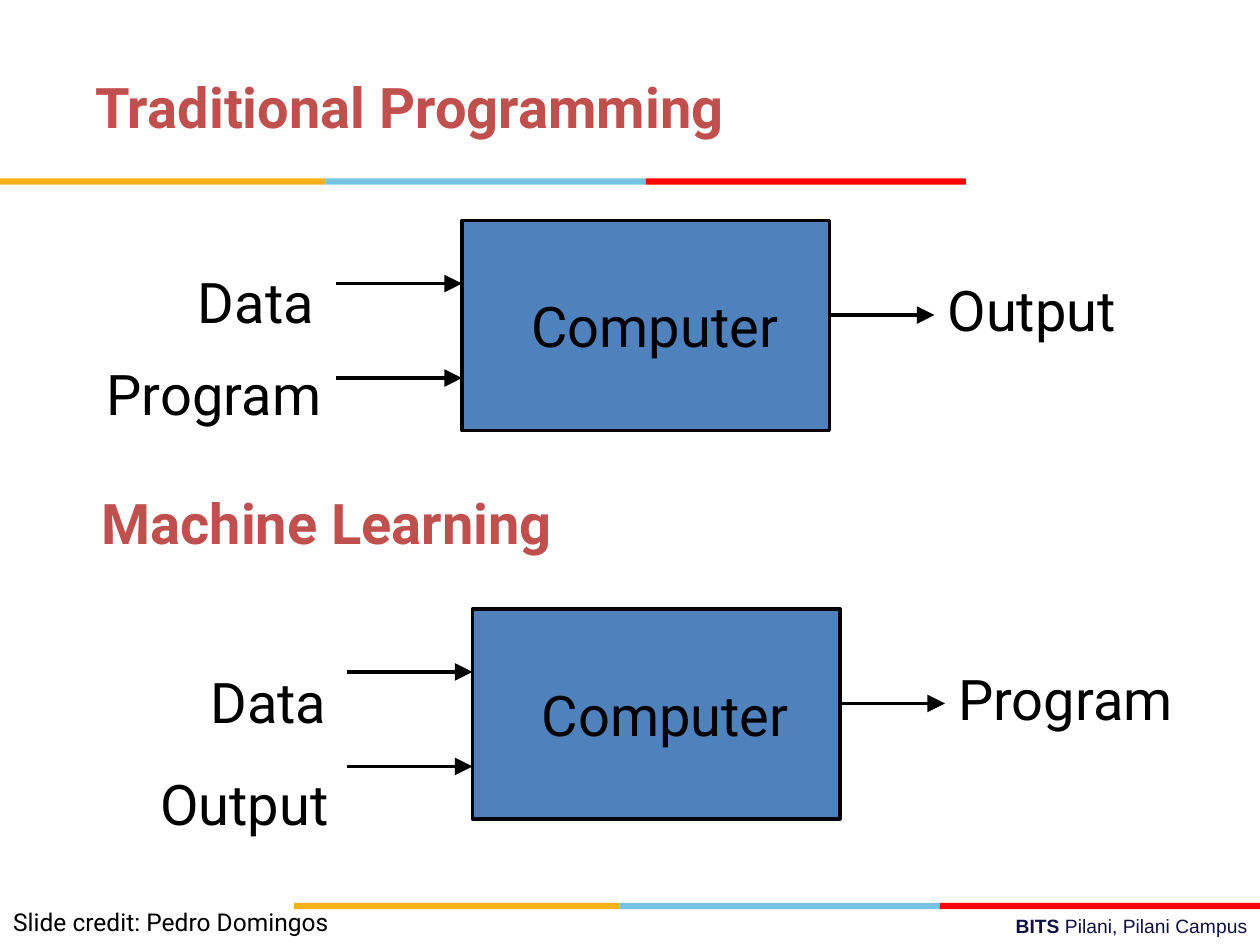
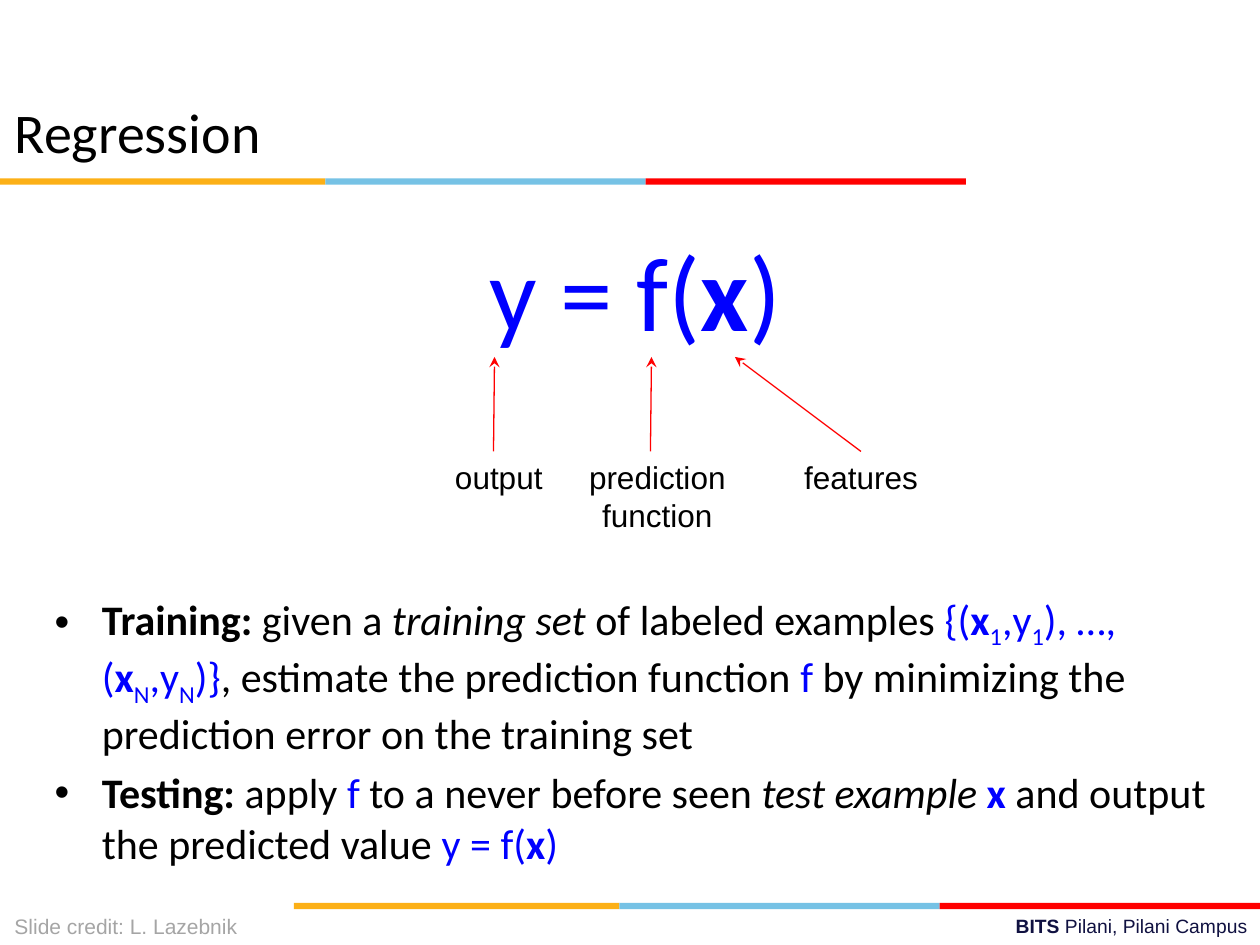
from dataclasses import dataclass

from lxml.etree import SubElement
from pptx import Presentation
from pptx.dml.color import RGBColor
from pptx.enum.shapes import MSO_CONNECTOR, MSO_SHAPE
from pptx.enum.text import MSO_ANCHOR, MSO_AUTO_SIZE, PP_ALIGN
from pptx.oxml.ns import qn
from pptx.util import Inches, Pt


@dataclass(frozen=True)
class Theme:
    black: str = "000000"
    navy: str = "101141"
    heading: str = "C0504D"
    processor: str = "4F81BD"
    formula: str = "0000FF"
    grey: str = "A5A5A5"
    red: str = "FF0000"
    bands: tuple = (("FCB017", 31), ("76C2E5", 30.5), ("FF0000", 30.5))
    large: int = 32
    equation: int = 60
    body: int = 24
    label: int = 18
    credit: int = 14
    small_credit: int = 12
    footer: int = 11


THEME = Theme()
COLUMNS, ROWS = 120, 90
WIDTH, HEIGHT = Inches(10), Inches(7.5)
ROOMY = (1.2, 0.6)
TIGHT = (0.15, 0.15)

# Text formats
LABEL = dict(name="Roboto", size=THEME.large, color=THEME.black)
HEADING = LABEL | dict(color=THEME.heading, bold=True)
CREDIT = LABEL | dict(size=THEME.credit)
FOOTER = dict(name="Arial", size=THEME.footer, color=THEME.navy)
CAPTION = dict(name="Arial", size=THEME.label, color=THEME.black)
SMALL_CREDIT = CAPTION | dict(size=THEME.small_credit, color=THEME.grey)
TITLE = dict(name="Calibri", size=THEME.large, color=THEME.black)
EQUATION = dict(name="Calibri", size=THEME.equation, color=THEME.formula)
BODY = TITLE | dict(size=THEME.body)
BOLD = dict(bold=True)
ITALIC = dict(italic=True)
MATH = dict(color=THEME.formula)
VECTOR = MATH | BOLD
SUBSCRIPT = MATH | dict(baseline=-25000)

FUNCTION_SPANS = [("y = f(", MATH), ("x", VECTOR), (")", MATH)]
TRAINING = [
    ("Training: ", BOLD), ("given a ", {}), ("training set ", ITALIC),
    ("of labeled examples ", {}), ("{(", MATH), ("x", VECTOR),
    ("1", SUBSCRIPT), (",y", MATH), ("1", SUBSCRIPT), ("), …, (", MATH),
    ("x", VECTOR), ("N", SUBSCRIPT), (",y", MATH), ("N", SUBSCRIPT),
    (")}", MATH), (", estimate the prediction function ", {}), ("f ", MATH),
    ("by minimizing the prediction error on the training set", {}),
]
TESTING = [
    ("Testing:", BOLD), (" apply ", {}), ("f", MATH),
    (" to a never before seen ", {}), ("test example ", ITALIC),
    ("x", VECTOR), (" and output the predicted value ", {}),
    *FUNCTION_SPANS,
]


def across(columns):
    return round(WIDTH * columns / COLUMNS)


def down(rows):
    return round(HEIGHT * rows / ROWS)


def place(left, top, width, height):
    return across(left), down(top), across(width), down(height)


# Text helpers
def write(para, spans, style):
    for text, changes in spans:
        span = para.add_run()
        span.text = text
        for key, value in (dict(bold=False, italic=False) | style | changes).items():
            if key == "color":
                span.font.color.rgb = RGBColor.from_string(value)
            elif key == "baseline":
                span._r.get_or_add_rPr().set("baseline", str(value))
            else:
                setattr(span.font, key, Pt(value) if key == "size" else value)


def prepare(shape, inset, anchor=MSO_ANCHOR.TOP):
    side, edge = inset
    settings = dict(
        word_wrap=True, auto_size=MSO_AUTO_SIZE.NONE, vertical_anchor=anchor,
        margin_left=across(side), margin_right=across(side),
        margin_top=down(edge), margin_bottom=down(edge),
    )
    for key, value in settings.items():
        setattr(shape.text_frame, key, value)
    return shape.text_frame.paragraphs[0]


def add_text(page, area, spans, style, align=PP_ALIGN.LEFT, inset=TIGHT):
    if isinstance(spans, str):
        spans = [(spans, {})]
    para = prepare(page.shapes.add_textbox(*place(*area)), inset)
    para.alignment = align
    write(para, spans, style)


def set_title(page, area, text, style, inset, anchor):
    title = page.shapes.title
    title.left, title.top, title.width, title.height = place(*area)
    para = prepare(title, inset, anchor)
    para.alignment = PP_ALIGN.LEFT
    write(para, [(text, {})], style)


def set_bullet(para, indent):
    properties = para._p.get_or_add_pPr()
    properties.set("marL", str(indent))
    properties.set("indent", str(-indent))
    if indent:
        color = SubElement(properties, qn("a:buClr"))
        SubElement(color, qn("a:srgbClr"), val=THEME.black)
        SubElement(properties, qn("a:buFont"), typeface="Arial")
        SubElement(properties, qn("a:buChar"), char="•")
    else:
        SubElement(properties, qn("a:buNone"))


# Drawing helpers
def add_box(page, area, fill, line=None):
    box = page.shapes.add_shape(MSO_SHAPE.RECTANGLE, *place(*area))
    box.shadow.inherit = False
    box.fill.solid()
    box.fill.fore_color.rgb = RGBColor.from_string(fill)
    if line:
        box.line.color.rgb = RGBColor.from_string(line)
        box.line.width = Pt(2)
    else:
        box.line.fill.background()
    return box


def add_arrow(page, start, end, color, width, head, size):
    arrow = page.shapes.add_connector(
        MSO_CONNECTOR.STRAIGHT, across(start[0]), down(start[1]),
        across(end[0]), down(end[1]))
    arrow.line.color.rgb = RGBColor.from_string(color)
    arrow.line.width = Pt(width)
    SubElement(arrow.line._get_or_add_ln(), qn("a:tailEnd"),
               type=head, w=size, len=size)
    SubElement(arrow._element.spPr, qn("a:effectLst"))


# Shared frame: two striped rules and the footer
def add_stripes(page, left, top):
    for color, width in THEME.bands:
        add_box(page, (left, top, width, 0.6), color)
        left += width


def add_frame(page):
    add_stripes(page, 0, 17)
    add_stripes(page, 28, 86)
    add_text(page, (43, 86.5, 77, 3.5),
             [("BITS ", BOLD), ("Pilani, Pilani Campus", {})],
             FOOTER, PP_ALIGN.RIGHT, ROOMY)


# Inputs, processor and result; labels sit relative to the processor corner
def add_process(page, left, top, inputs, result):
    width, height = 35, 20
    processor = add_box(page, (left, top, width, height),
                        THEME.processor, THEME.black)
    para = prepare(processor, (6.6, 6.8))
    processor.text_frame.margin_right = 0
    para.alignment = PP_ALIGN.LEFT
    write(para, [("Computer", {})], LABEL)

    right = left + width
    arrows = [(left - 12, left, 6), (left - 12, left, 15),
              (right, right + 10, 9)]
    for start, end, row in arrows:
        add_arrow(page, (start, top + row), (end, top + row),
                  THEME.black, 2, "triangle", "lg")

    labels = [*inputs, (result, width + 11.1, 5.1)]
    for text, column, row in labels:
        add_text(page, (left + column, top + row, 23, 6.7), text, LABEL)


def build_comparison(deck):
    page = deck.slides.add_slide(deck.slide_layouts[5])
    add_frame(page)
    set_title(page, (8.9, 6.8, 64, 6.7), "Traditional Programming",
              HEADING, TIGHT, MSO_ANCHOR.TOP)
    add_process(page, 44, 21,
                [("Data", -25.3, 4.3), ("Program", -34, 13.1)], "Output")
    add_text(page, (9.5, 46.4, 52.4, 6.7), "Machine Learning", HEADING)
    add_process(page, 45, 58,
                [("Data", -25.1, 5.4), ("Output", -29.9, 15.1)], "Program")
    add_text(page, (1.1, 86.2, 32, 3.1), "Slide credit: Pedro Domingos", CREDIT)


# Equation and bullets in the body placeholder
def add_explanation(page, area):
    body = page.placeholders[1]
    body.left, body.top, body.width, body.height = place(*area)
    para = prepare(body, ROOMY)
    para.alignment = PP_ALIGN.CENTER
    para.space_before = Pt(0)
    set_bullet(para, 0)
    write(para, FUNCTION_SPANS, EQUATION)
    for spans, gap in ((TRAINING, 137.4), (TESTING, 4.8)):
        para = body.text_frame.add_paragraph()
        para.space_before = Pt(gap)
        set_bullet(para, across(4.5))
        write(para, spans, BODY)


# Captions with arrows up to the parts of the equation
def add_captions(page, top):
    captions = [("output", 47.5, 47, 47.1),
                ("prediction function", 62.6, 61.95, 62.05),
                ("features", 82, 82, 70)]
    width = 20
    for text, center, start, end in captions:
        add_arrow(page, (start, top), (end, top - 9),
                  THEME.red, 0.75, "stealth", "med")
        add_text(page, (center - width / 2, top, width, 8.5), text,
                 CAPTION, PP_ALIGN.CENTER, ROOMY)


def build_regression(deck):
    page = deck.slides.add_slide(deck.slide_layouts[1])
    add_frame(page)
    set_title(page, (0.2, 9.1, 66, 6.8), "Regression",
              TITLE, ROOMY, MSO_ANCHOR.MIDDLE)
    add_explanation(page, (4, 21, 113, 59.4))
    add_captions(page, 43)
    add_text(page, (0.2, 86.4, 28, 3.6), "Slide credit: L. Lazebnik",
             SMALL_CREDIT, inset=ROOMY)


def main():
    deck = Presentation()
    deck.slide_width, deck.slide_height = WIDTH, HEIGHT
    build_comparison(deck)
    build_regression(deck)
    deck.save("out.pptx")


if __name__ == "__main__":
    main()
